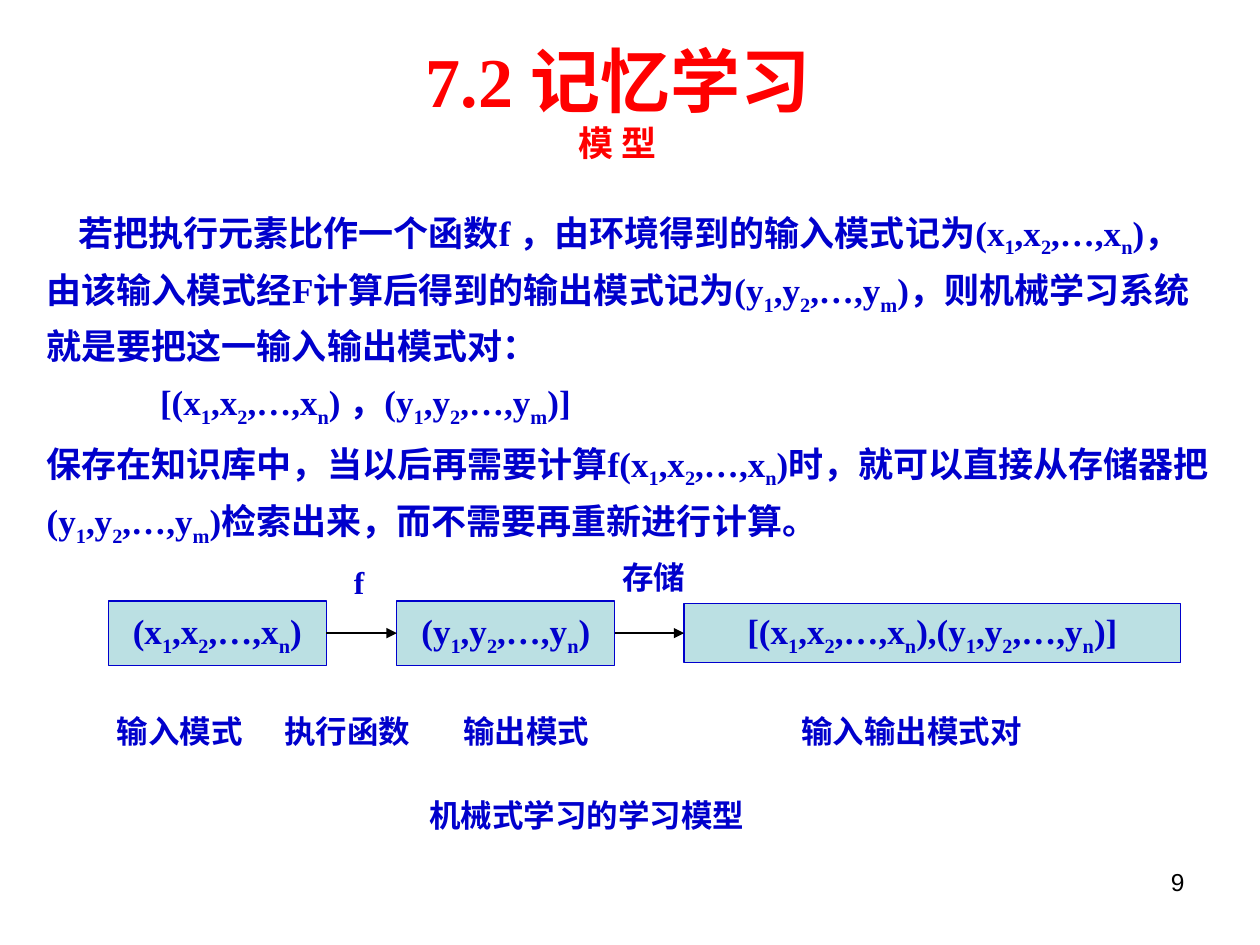
import pptx
import pptx.util
import pptx.dml.color
import pptx.enum.text
import pptx.enum.shapes
import pptx.oxml.ns
import lxml.etree

Inches = pptx.util.Inches
Pt = pptx.util.Pt
ALIGN = pptx.enum.text.PP_ALIGN
ANCHOR = pptx.enum.text.MSO_ANCHOR
qn = pptx.oxml.ns.qn
BLUE = pptx.dml.color.RGBColor(0x00, 0x00, 0xCC)
RED = pptx.dml.color.RGBColor(0xFF, 0x00, 0x00)
TEAL = pptx.dml.color.RGBColor(0xBB, 0xE0, 0xE3)
BLACK = pptx.dml.color.RGBColor(0x00, 0x00, 0x00)
SERIF = "Times New Roman"


def write(para, text, size, color=BLUE, align=ALIGN.LEFT, face=SERIF, bold=True):
    for i, part in enumerate(text.split("_")):
        if i:
            sub = para.add_run()
            sub.text = part[0]
            sub._r.get_or_add_rPr().set("baseline", "-25000")
            part = part[1:]
        if part:
            para.add_run().text = part
    para.alignment = align
    para.space_before = Pt(0)
    para.font.size = Pt(size)
    para.font.name = face
    para.font.bold = bold
    para.font.color.rgb = color


def place(shape, left, top, width, height):
    shape.left, shape.top = Inches(left), Inches(top)
    shape.width, shape.height = Inches(width), Inches(height)
    frame = shape.text_frame
    frame.auto_size = pptx.enum.text.MSO_AUTO_SIZE.NONE
    frame.word_wrap = True
    frame.vertical_anchor = ANCHOR.TOP
    return frame


deck = pptx.Presentation()
deck.slide_width, deck.slide_height = Inches(10), Inches(7.5)
slide = deck.slides.add_slide(deck.slide_layouts[1])
shapes = slide.shapes

frame = place(shapes.title, 0.75, 0.25, 8.31, 1.1)
write(frame.paragraphs[0], "7.2 记忆学习", 40, RED, ALIGN.CENTER)
write(frame.add_paragraph(), "模 型", 20, RED, ALIGN.CENTER)

X = "(x_1,x_2,…,x_n)"
YM = "(y_1,y_2,…,y_m)"
YN = "(y_1,y_2,…,y_n)"
body = [
    (0.25, f"若把执行元素比作一个函数f ，由环境得到的输入模式记为{X}，"
           f"由该输入模式经F计算后得到的输出模式记为{YM}，"
           "则机械学习系统就是要把这一输入输出模式对："),
    (0.9, f"[{X} ，{YM}]"),
    (0, f"保存在知识库中，当以后再需要计算f{X}时，就可以直接从存储器把{YM}"
        "检索出来，而不需要再重新进行计算。"),
]
frame = place(slide.placeholders[1], 0.27, 1.55, 9.45, 2.85)
for i, (indent, text) in enumerate(body):
    para = frame.add_paragraph() if i else frame.paragraphs[0]
    props = para._p.get_or_add_pPr()
    props.set("marL", "0")
    props.set("indent", str(Inches(indent)))
    lxml.etree.SubElement(props, qn("a:buNone"))
    write(para, text, 20)
    para.line_spacing = 1.2
    if i:
        para.space_before = Pt(2.5)

boxes = []
for left, width, height, text in [
    (0.86, 1.73, 0.51, X),
    (3.15, 1.73, 0.51, YN),
    (5.43, 3.94, 0.47, f"[{X},{YN}]"),
]:
    box = shapes.add_shape(pptx.enum.shapes.MSO_SHAPE.RECTANGLE, 0, 0, 0, 0)
    frame = place(box, left, 5.025 - height / 2, width, height)
    frame.word_wrap = False
    frame.vertical_anchor = ANCHOR.MIDDLE
    box.shadow.inherit = False
    box.fill.solid()
    box.fill.fore_color.rgb = TEAL
    box.line.color.rgb = BLUE
    box.line.width = Pt(0.75)
    write(frame.paragraphs[0], text, 20, align=ALIGN.CENTER)
    boxes.append(box)

for start, end in zip(boxes, boxes[1:]):
    arrow = shapes.add_connector(pptx.enum.shapes.MSO_CONNECTOR.STRAIGHT, 0, 0, 0, 0)
    arrow.begin_connect(start, 3)
    arrow.end_connect(end, 1)
    arrow.line.color.rgb = BLACK
    arrow.line.width = Pt(0.75)
    head = lxml.etree.SubElement(arrow.line._get_or_add_ln(), qn("a:tailEnd"))
    head.set("type", "triangle")
    lxml.etree.SubElement(arrow._element.spPr, qn("a:effectLst"))

for left, top, width, text in [
    (2.71, 4.42, 0.35, "f"),
    (4.84, 4.38, 0.71, "存储"),
    (0.83, 5.6, 1.3, "输入模式"),
    (2.16, 5.6, 1.26, "执行函数"),
    (3.58, 5.6, 1.22, "输出模式"),
    (6.26, 5.6, 2.05, "输入输出模式对"),
    (3.31, 6.27, 2.95, "机械式学习的学习模型"),
]:
    label = shapes.add_textbox(0, 0, 0, 0)
    write(place(label, left, top, width, 0.4).paragraphs[0], text, 18)

page = shapes.add_textbox(0, 0, 0, 0)
frame = place(page, 7.17, 6.83, 2.33, 0.52)
write(frame.paragraphs[0], "9", 14, BLACK, ALIGN.RIGHT, "Arial", False)

deck.save("out.pptx")
